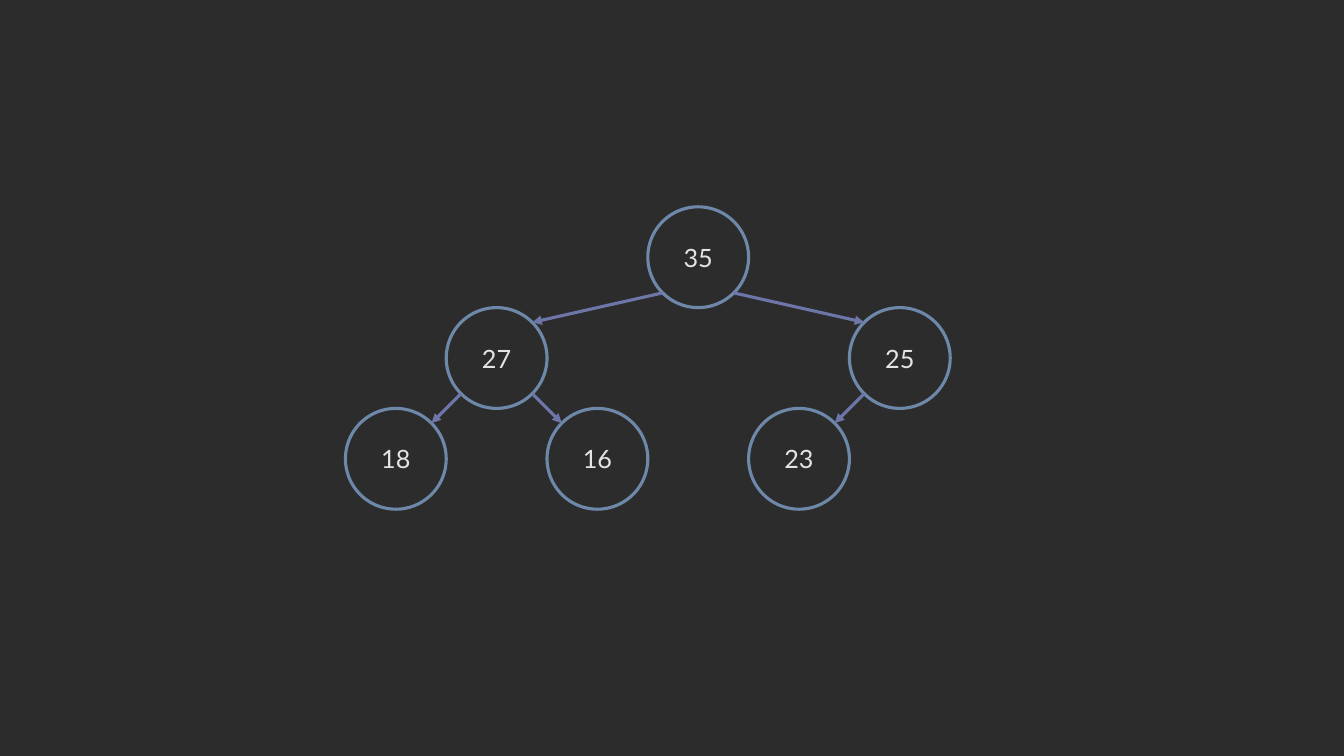
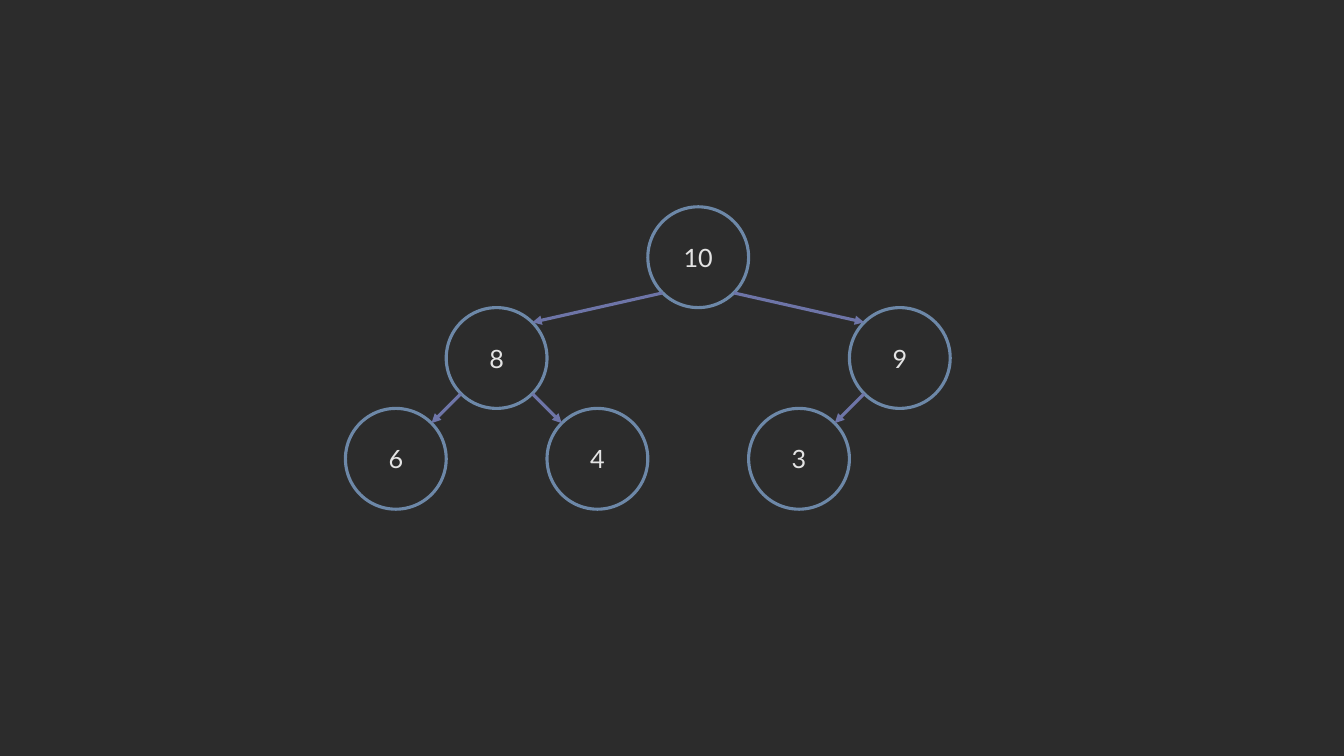
from math import sqrt

from pptx import Presentation
from pptx.dml.color import RGBColor
from pptx.enum.shapes import MSO_CONNECTOR, MSO_SHAPE
from pptx.enum.text import MSO_ANCHOR, PP_ALIGN
from pptx.oxml.ns import qn
from pptx.util import Pt
from lxml.etree import SubElement

BACKGROUND = RGBColor(0x2C, 0x2C, 0x2C)
NODE_LINE = RGBColor(0x6D, 0x88, 0xA8)
EDGE_LINE = RGBColor(0x6E, 0x75, 0xA8)
TEXT = RGBColor(0xE4, 0xE4, 0xE4)
FONT = "Lato"
FONT_SIZE = Pt(18)
LINE_WIDTH = Pt(2.25)

EMU_PER_PX = 9525
SLIDE_WIDTH, SLIDE_HEIGHT = 1280, 720
BLANK_LAYOUT = 6

NODE_SIZE = 96
TREE_LEFT, TREE_TOP = 329, 197
# Column and row of each node in heap order, in steps of one node
NODE_CELLS = [(3, 0), (1, 1), (5, 1), (0, 2), (2, 2), (4, 2)]

HEAPS = [
    [35, 27, 25, 18, 16, 23],
    [10, 8, 9, 6, 4, 3],
]


def px(length):
    return length * EMU_PER_PX


class HeapDeck:
    def __init__(self):
        self.deck = Presentation()
        self.deck.slide_width = px(SLIDE_WIDTH)
        self.deck.slide_height = px(SLIDE_HEIGHT)
        master_fill = self.deck.slide_master.background.fill
        master_fill.solid()
        master_fill.fore_color.rgb = BACKGROUND
        self.slide = None

    def add_slide(self):
        self.slide = self.deck.slides.add_slide(self.deck.slide_layouts[BLANK_LAYOUT])

    def add_node(self, center, value):
        x, y = center
        radius = NODE_SIZE // 2
        node = self.slide.shapes.add_shape(
            MSO_SHAPE.OVAL, px(x - radius), px(y - radius), px(NODE_SIZE), px(NODE_SIZE))
        node.shadow.inherit = False
        node.fill.background()
        node.line.color.rgb = NODE_LINE
        node.line.width = LINE_WIDTH
        frame = node.text_frame
        frame.margin_left = frame.margin_right = frame.margin_top = frame.margin_bottom = 0
        frame.vertical_anchor = MSO_ANCHOR.MIDDLE
        label = frame.paragraphs[0]
        label.text = str(value)
        label.alignment = PP_ALIGN.CENTER
        label.font.name = FONT
        label.font.size = FONT_SIZE
        label.font.color.rgb = TEXT

    def add_edge(self, parent, child):
        """Draw an arrow between the facing diagonal points of two circles."""
        reach = round(NODE_SIZE / 2 / sqrt(2))
        side = 1 if child[0] > parent[0] else -1
        edge = self.slide.shapes.add_connector(
            MSO_CONNECTOR.STRAIGHT,
            px(parent[0] + side * reach), px(parent[1] + reach),
            px(child[0] - side * reach), px(child[1] - reach))
        edge.line.color.rgb = EDGE_LINE
        edge.line.width = LINE_WIDTH
        SubElement(edge.line._get_or_add_ln(), qn("a:tailEnd"), type="triangle")
        SubElement(edge._element.spPr, qn("a:effectLst"))

    def add_heap(self, values):
        """Draw a binary heap; the parent of node i is node (i - 1) // 2."""
        radius = NODE_SIZE // 2
        centers = [(TREE_LEFT + column * NODE_SIZE + radius, TREE_TOP + row * NODE_SIZE + radius)
                   for column, row in NODE_CELLS]
        for index, (center, value) in enumerate(zip(centers, values)):
            self.add_node(center, value)
            if index:
                self.add_edge(centers[(index - 1) // 2], center)


def main():
    heap_deck = HeapDeck()
    for values in HEAPS:
        heap_deck.add_slide()
        heap_deck.add_heap(values)
    heap_deck.deck.save("out.pptx")


if __name__ == "__main__":
    main()
